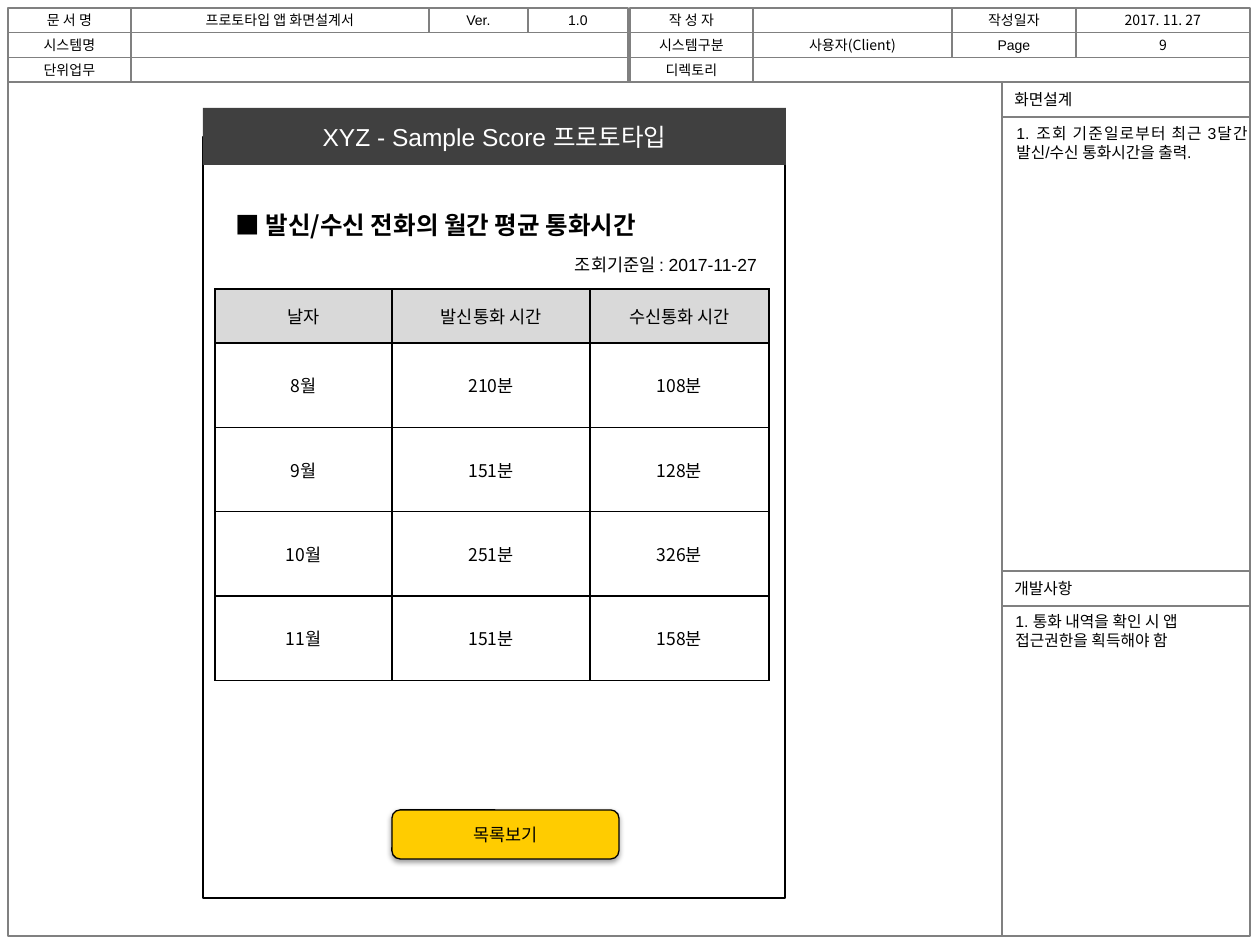
import pptx
import pptx.util
import pptx.dml.color
import pptx.enum.shapes
import pptx.enum.text
import pptx.oxml
import pptx.oxml.ns

SCALE = 914400 // 126
NOTO = "Noto Sans CJK KR"
ALIGN = pptx.enum.text.PP_ALIGN
ANCHOR = pptx.enum.text.MSO_ANCHOR
SHAPE = pptx.enum.shapes.MSO_SHAPE

HEADER_TOP, HEADER_ROW = 8, 24.67
HEADER_ROWS = [
    [(8, 131, "문 서 명"), (131, 429, "프로토타입 앱 화면설계서"), (429, 528, "Ver."),
     (528, 628, "1.0"), (630, 753, "작 성 자"), (753, 952, ""),
     (952, 1076, "작성일자"), (1076, 1250, "2017. 11. 27")],
    [(8, 131, "시스템명"), (131, 628, ""), (630, 753, "시스템구분"),
     (753, 952, "사용자(Client)"), (952, 1076, "Page"), (1076, 1250, "9")],
    [(8, 131, "단위업무"), (131, 628, ""), (630, 753, "디렉토리"), (753, 1250, "")],
]
NOTO_CELLS = {"2017. 11. 27", "사용자(Client)", "9"}
PANELS = [
    (8, 82, 994, 854, ""),
    (1002, 82, 248, 35, "화면설계"),
    (1002, 117, 248, 454, ""),
    (1002, 571, 248, 35, "개발사항"),
    (1002, 606, 248, 330, ""),
]
TEXTS = [
    ((223, 204, 556, 43), "■ 발신/수신 전화의 월간 평균 통화시간", dict(size=14, font=NOTO, bold=True)),
    ((461, 248, 308, 34), "조회기준일 : 2017-11-27", dict(size=10, align=ALIGN.RIGHT)),
    ((1004, 118, 256, 50), "1. 조회 기준일로부터 최근 3달간 발신/수신 통화시간을 출력.",
     dict(size=9, align=ALIGN.JUSTIFY)),
    ((1003, 606, 257, 50), "1. 통화 내역을 확인 시 앱 접근권한을 획득해야 함", dict(size=9)),
]
CALLS = [
    ("날자", "발신통화 시간", "수신통화 시간"),
    ("8월", "210분", "108분"),
    ("9월", "151분", "128분"),
    ("10월", "251분", "326분"),
    ("11월", "151분", "158분"),
]
CALL_COLUMNS = [177, 198, 179]
CALL_ROWS = [54] + [84.4] * 4


def px(value):
    return pptx.util.Emu(round(value * SCALE))


def color(code):
    return pptx.dml.color.RGBColor.from_string(code)


def xml(tag, body="", **attributes):
    listed = "".join(f' {key}="{value}"' for key, value in attributes.items())
    return f"<a:{tag} {pptx.oxml.ns.nsdecls('a')}{listed}>{body}</a:{tag}>"


def write(frame, text, size=8, font="Arial", ink="000000", bold=False,
          align=ALIGN.LEFT, anchor=ANCHOR.TOP):
    frame.word_wrap = True
    frame.auto_size = pptx.enum.text.MSO_AUTO_SIZE.NONE
    frame.vertical_anchor = anchor
    paragraph = frame.paragraphs[0]
    paragraph.alignment = align
    run = paragraph.add_run()
    run.text = text
    run.font.size = pptx.util.Pt(size)
    run.font.name = font
    run.font.bold = bold
    run.font.color.rgb = color(ink)
    run.font._element.get_or_add_latin().addnext(pptx.oxml.parse_xml(xml("ea", typeface=NOTO)))


def add_box(place, text="", kind=SHAPE.RECTANGLE, fill=None, line="808080", width=0.75, **text_format):
    shape = slide.shapes.add_shape(kind, *map(px, place))
    shape.shadow.inherit = False
    if fill:
        shape.fill.solid()
        shape.fill.fore_color.rgb = color(fill)
    else:
        shape.fill.background()
    shape.line.color.rgb = color(line)
    shape.line.width = pptx.util.Pt(width)
    if text:
        write(shape.text_frame, text, anchor=ANCHOR.MIDDLE, **text_format)
    return shape


def add_borders(cell):
    properties = cell._tc.get_or_add_tcPr()
    for side in ("lnL", "lnR", "lnT", "lnB"):
        fill = '<a:solidFill><a:srgbClr val="000000"/></a:solidFill>'
        properties.append(pptx.oxml.parse_xml(xml(side, fill, w=12700)))


presentation = pptx.Presentation()
presentation.slide_width = px(1260)
presentation.slide_height = px(945)
slide = presentation.slides.add_slide(presentation.slide_layouts[5])

for index, row in enumerate(HEADER_ROWS):
    for left, right, text in row:
        add_box((left, HEADER_TOP + index * HEADER_ROW, right - left, HEADER_ROW), text,
                align=ALIGN.CENTER, font=NOTO if text in NOTO_CELLS else "Arial")
for *place, text in PANELS:
    add_box(place, text, size=9)

add_box((203, 137, 582, 761), fill="FFFFFF", line="000000", width=1)

title = slide.shapes.title
title.left, title.top, title.width, title.height = map(px, (203, 108, 583, 57))
title.fill.solid()
title.fill.fore_color.rgb = color("404040")
write(title.text_frame, "XYZ - Sample Score 프로토타입", size=14, ink="FFFFFF",
      align=ALIGN.CENTER, anchor=ANCHOR.MIDDLE)
slide.shapes._spTree.append(title._element)

button = add_box((392, 810, 227, 49), "목록보기", SHAPE.ROUNDED_RECTANGLE, "FFCC00", "000000",
                 size=10, font=NOTO, align=ALIGN.CENTER)
shade = '<a:srgbClr val="000000"><a:alpha val="38000"/></a:srgbClr>'
effects = button._element.spPr.find(pptx.oxml.ns.qn("a:effectLst"))
effects.append(pptx.oxml.parse_xml(
    xml("outerShdw", shade, blurRad=39400, dist=20300, dir=5400000, rotWithShape=0)))

table = slide.shapes.add_table(
    len(CALLS), len(CALL_COLUMNS),
    *map(px, (215, 289, sum(CALL_COLUMNS), sum(CALL_ROWS)))).table
for column, width in zip(table.columns, CALL_COLUMNS):
    column.width = px(width)
for index, (row, height, values) in enumerate(zip(table.rows, CALL_ROWS, CALLS)):
    row.height = px(height)
    for cell, text in zip(row.cells, values):
        add_borders(cell)
        if index == 0:
            cell.fill.solid()
            cell.fill.fore_color.rgb = color("D9D9D9")
        else:
            cell.fill.background()
        cell.vertical_anchor = ANCHOR.MIDDLE
        paragraph_frame = cell.text_frame
        write(paragraph_frame, text, size=10, font=NOTO, align=ALIGN.CENTER, anchor=ANCHOR.MIDDLE)

for place, text, text_format in TEXTS:
    write(slide.shapes.add_textbox(*map(px, place)).text_frame, text, **text_format)

presentation.save("out.pptx")
